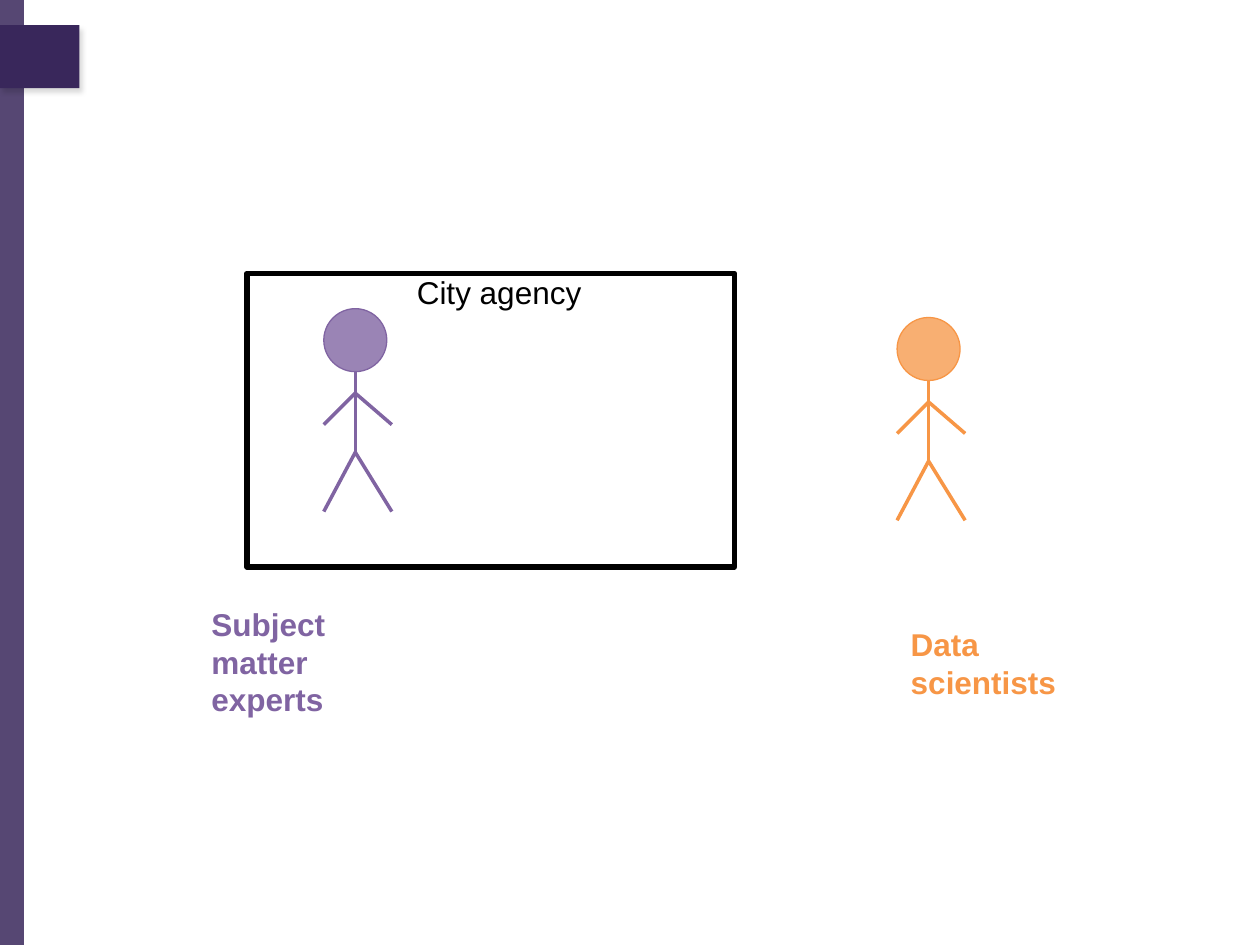
from lxml.etree import SubElement
from pptx import Presentation
from pptx.dml.color import RGBColor
from pptx.enum.shapes import MSO_CONNECTOR, MSO_SHAPE
from pptx.enum.text import MSO_AUTO_SIZE
from pptx.oxml.ns import qn
from pptx.util import Inches, Pt

DARK_PURPLE = RGBColor(0x39, 0x27, 0x5B)
PURPLE = RGBColor(0x80, 0x64, 0xA2)
ORANGE = RGBColor(0xF7, 0x96, 0x46)
BLACK = RGBColor(0, 0, 0)


class SlideBuilder:
    font_name = "Arial"
    font_size = Pt(18)
    limb_width = 2

    def __init__(self, slide):
        self.slide = slide

    def set_line(self, shape, color, width):
        shape.line.color.rgb = color
        shape.line.width = Pt(width)
        SubElement(shape.line._get_or_add_ln(), qn("a:round"))

    def shape(self, kind, left, top, width, height, fill=None, opacity=100,
              line=None, line_width=0.75, parent=None):
        shapes = (parent or self.slide).shapes
        shape = shapes.add_shape(kind, Inches(left), Inches(top),
                                 Inches(width), Inches(height))
        shape.shadow.inherit = False
        if fill is None:
            shape.fill.background()
        else:
            shape.fill.solid()
            shape.fill.fore_color.rgb = fill
            if opacity < 100:
                color = shape.fill._xPr.find(".//" + qn("a:srgbClr"))
                SubElement(color, qn("a:alpha"), val=str(opacity * 1000))
        if line is None:
            shape.line.fill.background()
        else:
            self.set_line(shape, line, line_width)
        return shape

    def add_shadow(self, shape):
        """Give the shape a soft shadow towards the lower right."""
        effects = shape._element.spPr.find(qn("a:effectLst"))
        shadow = SubElement(effects, qn("a:outerShdw"), blurRad=str(Pt(3)),
                            dist=str(Pt(3)), dir=str(60 * 60000),
                            algn="tl", rotWithShape="0")
        color = SubElement(shadow, qn("a:srgbClr"), val=str(BLACK))
        SubElement(color, qn("a:alpha"), val="15000")

    def line(self, start, end, color, parent):
        connector = parent.shapes.add_connector(
            MSO_CONNECTOR.STRAIGHT, *map(Inches, start + end))
        SubElement(connector._element.spPr, qn("a:effectLst"))
        self.set_line(connector, color, self.limb_width)

    def polyline(self, points, color, parent):
        start, *rest = [(Inches(x), Inches(y)) for x, y in points]
        builder = parent.shapes.build_freeform(*start)
        builder.add_line_segments(rest, close=False)
        shape = builder.convert_to_shape()
        shape.shadow.inherit = False
        shape.fill.background()
        self.set_line(shape, color, self.limb_width)

    def stick_figure(self, left, top, color, head_opacity):
        """Draw a person as one group, with the head's corner at left, top."""
        group = self.slide.shapes.add_group_shape()
        center = left + 0.25
        self.shape(MSO_SHAPE.OVAL, left, top, 0.5, 0.5, color, head_opacity,
                   color, parent=group)
        self.line((center, top + 0.5), (center, top + 1.17), color, group)
        for joint, drop in ((1.14, 0.47), (0.67, 0.25)):
            self.polyline([(left, top + joint + drop), (center, top + joint),
                           (left + 0.54, top + joint + drop)], color, group)

    def text(self, left, top, height, text, color, bold=False):
        box = self.slide.shapes.add_textbox(Inches(left), Inches(top),
                                            Inches(1.67), Inches(height))
        frame = box.text_frame
        frame.word_wrap = True
        frame.auto_size = MSO_AUTO_SIZE.SHAPE_TO_FIT_TEXT
        paragraph = frame.paragraphs[0]
        paragraph.text = text
        paragraph.font.name = self.font_name
        paragraph.font.size = self.font_size
        paragraph.font.bold = bold
        paragraph.font.color.rgb = color


def main():
    presentation = Presentation()
    presentation.slide_width = Inches(10)
    presentation.slide_height = Inches(7.5)
    slide = presentation.slides.add_slide(presentation.slide_layouts[6])
    builder = SlideBuilder(slide)

    builder.shape(MSO_SHAPE.RECTANGLE, 0, 0, 0.19, 7.5, DARK_PURPLE, 85)
    tab = builder.shape(MSO_SHAPE.RECTANGLE, 0, 0.2, 0.63, 0.5, DARK_PURPLE)
    builder.add_shadow(tab)

    builder.stick_figure(2.57, 2.45, PURPLE, 79)
    builder.stick_figure(7.12, 2.52, ORANGE, 76)

    builder.shape(MSO_SHAPE.RECTANGLE, 1.96, 2.17, 3.87, 2.33,
                  line=BLACK, line_width=3)
    builder.text(3.21, 2.12, 0.4, "City agency", BLACK)
    builder.text(1.58, 4.75, 1.01, "Subject matter experts", PURPLE, bold=True)
    builder.text(7.13, 4.91, 0.71, "Data scientists", ORANGE, bold=True)

    presentation.save("out.pptx")


if __name__ == "__main__":
    main()
